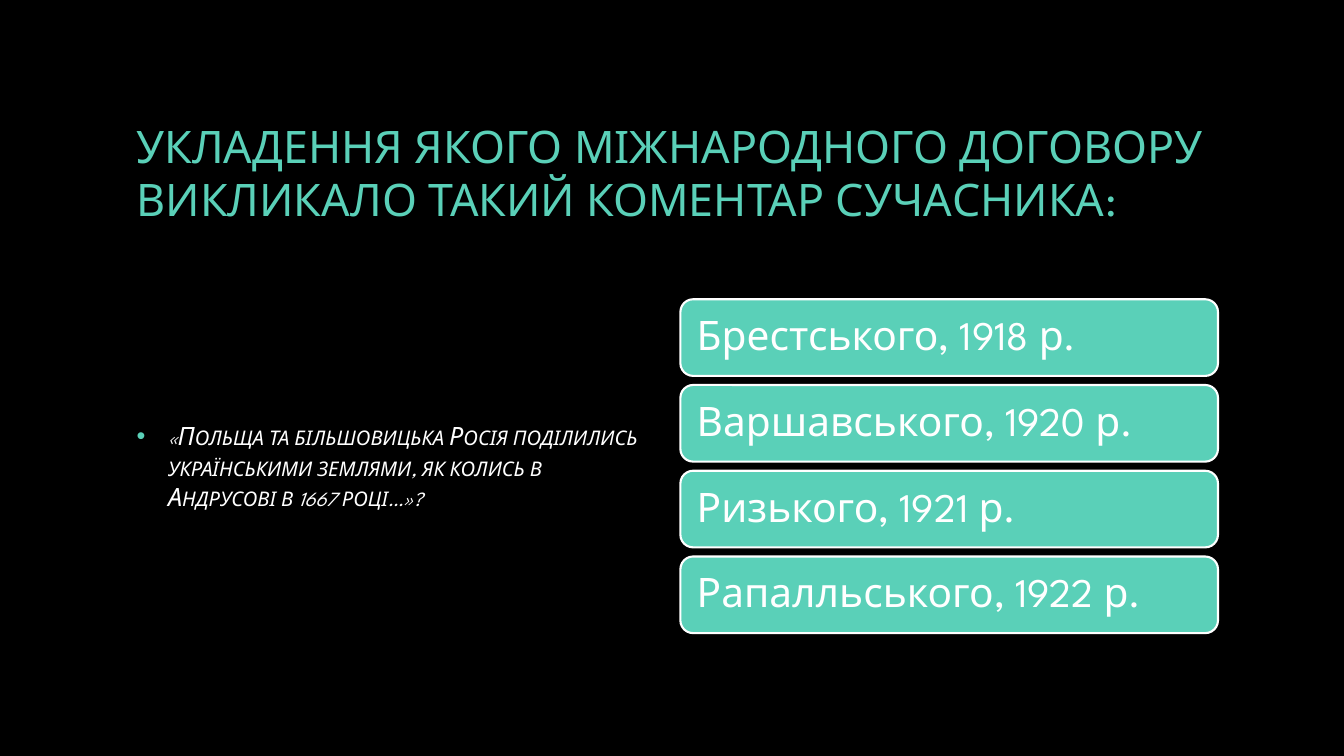
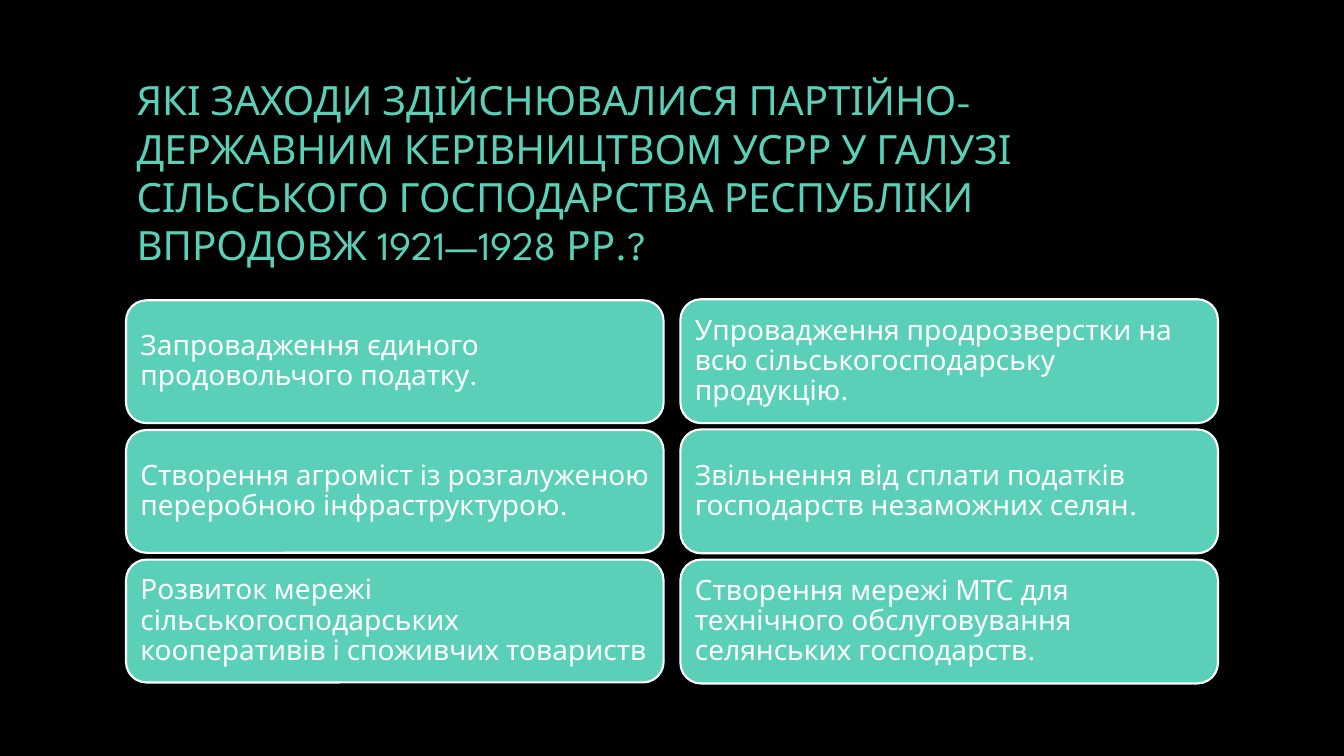
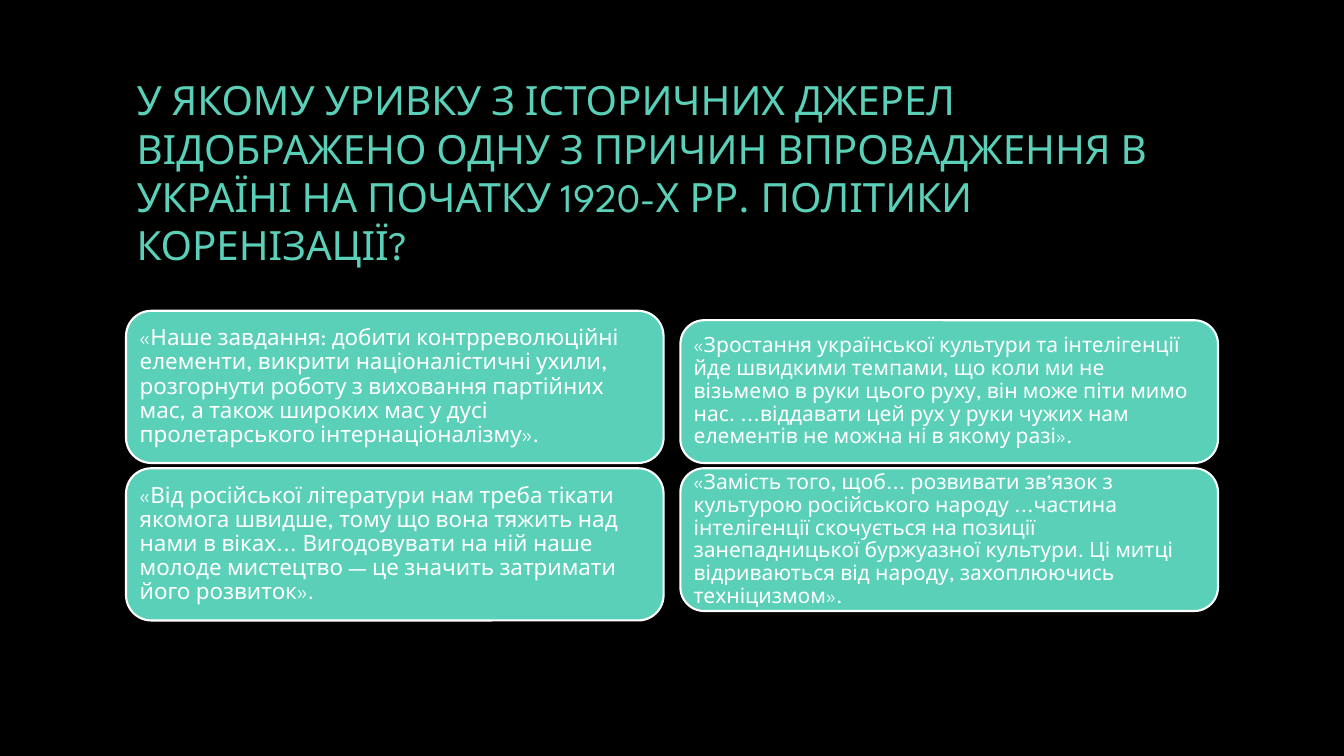
from lxml import etree
from pptx import Presentation
from pptx import util as u
from pptx.dml.color import RGBColor
from pptx.enum import shapes, text
from pptx.oxml import ns

PX = 9525
FONT = "League Spartan"
COLORS = {"background": "000000", "accent": "5AD0B8", "light": "FFFFFF"}
TITLE_BOX = (120, 64, 1040, 200)
LEFT_X, RIGHT_X, COLUMN_W = 120, 648, 512


def px(value):
    return u.Emu(round(value * PX))


def color(name):
    return RGBColor.from_string(COLORS[name])


def add_run(paragraph, words, size, tint):
    run = paragraph.add_run()
    run.text = words
    run.font.name = FONT
    run.font.size = u.Pt(size)
    run.font.color.rgb = color(tint)
    return run


def prepare_frame(frame, inset_x, inset_y):
    frame.word_wrap = True
    frame.auto_size = text.MSO_AUTO_SIZE.NONE
    frame.vertical_anchor = text.MSO_ANCHOR.MIDDLE
    frame.margin_left = frame.margin_right = px(inset_x)
    frame.margin_top = frame.margin_bottom = px(inset_y)
    paragraph = frame.paragraphs[0]
    paragraph.alignment = text.PP_ALIGN.LEFT
    return paragraph


def add_question(prs, words, size):
    slide = prs.slides.add_slide(prs.slide_layouts[5])
    title = slide.shapes.title
    title.left, title.top, title.width, title.height = map(px, TITLE_BOX)
    add_run(prepare_frame(title.text_frame, 10, 5), words, size, "accent")
    return slide


def add_quote(slide, box, words):
    quote = slide.shapes.add_textbox(*map(px, box))
    paragraph = prepare_frame(quote.text_frame, 10, 5)
    props = paragraph._p.get_or_add_pPr()
    props.set("marL", str(px(30)))
    props.set("indent", str(px(-30)))
    bullet_color = etree.SubElement(props, ns.qn("a:buClr"))
    etree.SubElement(bullet_color, ns.qn("a:srgbClr"), val=COLORS["accent"])
    etree.SubElement(props, ns.qn("a:buFont"), typeface="Arial")
    etree.SubElement(props, ns.qn("a:buChar"), char="•")
    run = add_run(paragraph, words, 18, "light")
    run.font.italic = True
    run.font._element.set("cap", "small")


def add_answers(slide, box, card_h, size, inset, answers):
    left, top, width, height = box
    pitch = (height - card_h) / (len(answers) - 1)
    for row, answer in enumerate(answers):
        card = slide.shapes.add_shape(
            shapes.MSO_SHAPE.ROUNDED_RECTANGLE,
            px(left), px(top + row * pitch), px(width), px(card_h))
        card.shadow.inherit = False
        card.fill.solid()
        card.fill.fore_color.rgb = color("accent")
        card.line.color.rgb = color("light")
        card.line.width = u.Pt(1.5)
        paragraph = prepare_frame(card.text_frame, inset, inset)
        paragraph.line_spacing = 0.9
        add_run(paragraph, answer, size, "light")


def build_treaty(prs):
    slide = add_question(
        prs, "УКЛАДЕННЯ ЯКОГО МІЖНАРОДНОГО ДОГОВОРУ ВИКЛИКАЛО ТАКИЙ КОМЕНТАР СУЧАСНИКА:", 32)
    add_quote(
        slide, (LEFT_X, 280, COLUMN_W, 328),
        "«Польща та більшовицька Росія поділились українськими землями, "
        "як колись в Андрусові в 1667 році…»?")
    add_answers(slide, (RIGHT_X, 285, COLUMN_W, 318), 73, 29, 12, [
        "Брестського, 1918 р.",
        "Варшавського, 1920 р.",
        "Ризького, 1921 р.",
        "Рапалльського, 1922 р.",
    ])


def build_farming(prs):
    slide = add_question(
        prs,
        "ЯКІ ЗАХОДИ ЗДІЙСНЮВАЛИСЯ ПАРТІЙНО-ДЕРЖАВНИМ КЕРІВНИЦТВОМ УСРР У ГАЛУЗІ "
        "СІЛЬСЬКОГО ГОСПОДАРСТВА РЕСПУБЛІКИ ВПРОДОВЖ 1921—1928 РР.?", 28.8)
    add_answers(slide, (LEFT_X, 286, COLUMN_W, 364), 117, 20, 8, [
        "Запровадження єдиного продовольчого податку.",
        "Створення агроміст із розгалуженою переробною інфраструктурою.",
        "Розвиток мережі сільськогосподарських кооперативів і споживчих товариств",
    ])
    add_answers(slide, (RIGHT_X, 285, COLUMN_W, 366), 118, 20, 8, [
        "Упровадження продрозверстки на всю сільськогосподарську продукцію.",
        "Звільнення від сплати податків господарств незаможних селян.",
        "Створення мережі МТС для технічного обслуговування селянських господарств.",
    ])


def build_culture(prs):
    slide = add_question(
        prs,
        "У ЯКОМУ УРИВКУ З ІСТОРИЧНИХ ДЖЕРЕЛ ВІДОБРАЖЕНО ОДНУ З ПРИЧИН ВПРОВАДЖЕННЯ "
        "В УКРАЇНІ НА ПОЧАТКУ 1920-Х РР. ПОЛІТИКИ КОРЕНІЗАЦІЇ?", 28.8)
    add_answers(slide, (LEFT_X, 296, COLUMN_W, 295), 145, 16, 6, [
        "«Наше завдання: добити контрреволюційні елементи, викрити націоналістичні "
        "ухили, розгорнути роботу з виховання партійних мас, а також широких мас "
        "у дусі пролетарського інтернаціоналізму».",
        "«Від російської літератури нам треба тікати якомога швидше, тому що вона "
        "тяжить над нами в віках... Вигодовувати на ній наше молоде мистецтво — "
        "це значить затримати його розвиток».",
    ])
    add_answers(slide, (RIGHT_X, 305, COLUMN_W, 277), 136, 15, 6, [
        "«Зростання української культури та інтелігенції йде швидкими темпами, що "
        "коли ми не візьмемо в руки цього руху, він може піти мимо нас. "
        "...віддавати цей рух у руки чужих нам елементів не можна ні в якому разі».",
        "«Замість того, щоб... розвивати зв’язок з культурою російського народу "
        "...частина інтелігенції скочується на позиції занепадницької буржуазної "
        "культури. Ці митці відриваються від народу, захоплюючись техніцизмом».",
    ])


def main():
    prs = Presentation()
    prs.slide_width, prs.slide_height = px(1280), px(720)
    backdrop = prs.slide_master.background.fill
    backdrop.solid()
    backdrop.fore_color.rgb = color("background")
    for build in (build_treaty, build_farming, build_culture):
        build(prs)
    prs.save("out.pptx")


if __name__ == "__main__":
    main()
